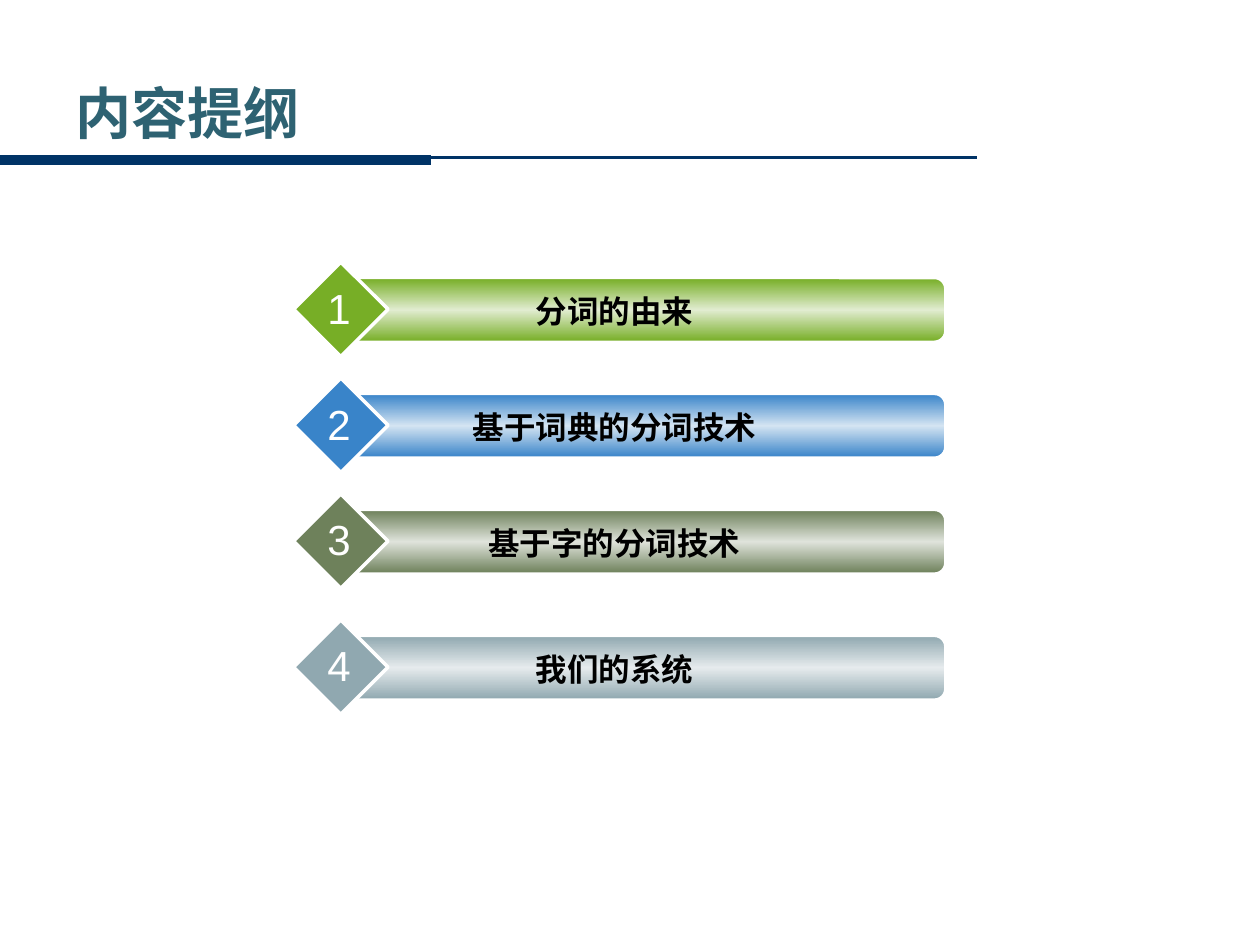
"""Build the outline slide: a ruled title above four numbered gradient bars."""
from copy import deepcopy
from dataclasses import dataclass

from pptx import Presentation
from pptx import util as u
from pptx.dml.color import RGBColor
from pptx.enum import shapes, text
from pptx.oxml import ns, xmlchemy
from pptx.shapes.autoshape import Shape
from pptx.slide import Slide


@dataclass(frozen=True)
class Theme:
    title_font: str = "DejaVu Sans"
    body_font: str = "Arial"
    title_color: str = "2E6272"
    rule_color: str = "003366"
    label_color: str = "000000"
    white: str = "FFFFFF"
    title_size: float = 32
    number_size: float = 24
    label_size: float = 18


@dataclass(frozen=True)
class Box:
    left: float
    top: float
    width: float
    height: float

    def lengths(self) -> list[u.Length]:
        return [u.Inches(value) for value in (self.left, self.top, self.width, self.height)]


@dataclass(frozen=True)
class Rule:
    end: float
    top: float
    weight: float


@dataclass(frozen=True)
class Topic:
    label: str
    top: float
    color: str
    highlight: str


THEME = Theme()
RULES = [Rule(7.75, 1.25, 1.5), Rule(3.42, 1.27, 6)]
TOPICS = [
    Topic("分词的由来", 2.08, "77AE26", "E1ECD0"),
    Topic("基于词典的分词技术", 3.0, "3984C9", "D4E4F2"),
    Topic("基于字的分词技术", 3.92, "6E815B", "DFE3DB"),
    Topic("我们的系统", 4.92, "90A8B0", "E6EBED"),
]


def rgb(value: str) -> RGBColor:
    return RGBColor.from_string(value)


def add_rule(slide: Slide, rule: Rule) -> None:
    top = u.Inches(rule.top)
    connector = slide.shapes.add_connector(
        shapes.MSO_CONNECTOR.STRAIGHT, u.Inches(0), top, u.Inches(rule.end), top)
    connector.line.color.rgb = rgb(THEME.rule_color)
    connector.line.width = u.Pt(rule.weight)
    connector._element.spPr.append(xmlchemy.OxmlElement("a:effectLst"))


def add_text(slide: Slide, box: Box, content: str, size: float, color: str,
             font: str = THEME.body_font, bold: bool = False, wrap: bool = True,
             align: text.PP_ALIGN = text.PP_ALIGN.CENTER,
             anchor: text.MSO_ANCHOR = text.MSO_ANCHOR.TOP) -> None:
    frame = slide.shapes.add_textbox(*box.lengths()).text_frame
    frame.text = content
    frame.word_wrap = wrap
    frame.vertical_anchor = anchor
    paragraph = frame.paragraphs[0]
    paragraph.alignment = align
    run_font = paragraph.runs[0].font
    run_font.name = font
    run_font.size = u.Pt(size)
    run_font.bold = bold
    run_font.color.rgb = rgb(color)


def add_outlined(slide: Slide, kind: shapes.MSO_SHAPE, box: Box, weight: float) -> Shape:
    shape = slide.shapes.add_shape(kind, *box.lengths())
    shape.shadow.inherit = False
    shape.line.color.rgb = rgb(THEME.white)
    shape.line.width = u.Pt(weight)
    return shape


def fill_gradient(shape: Shape, edge: str, middle: str) -> None:
    shape.fill.gradient()
    shape.fill.gradient_angle = 90
    stop_list = shape._element.spPr.find(f".//{ns.qn('a:gsLst')}")
    stop_list.insert(1, deepcopy(stop_list[0]))
    for stop, position, color in zip(shape.fill.gradient_stops, (0, 0.5, 1), (edge, middle, edge)):
        stop.position = position
        stop.color.rgb = rgb(color)


def add_topic(slide: Slide, number: int, topic: Topic) -> None:
    bar = add_outlined(slide, shapes.MSO_SHAPE.ROUNDED_RECTANGLE,
                       Box(2.75, topic.top + 0.13, 4.75, 0.5), 1)
    fill_gradient(bar, topic.color, topic.highlight)
    diamond = add_outlined(slide, shapes.MSO_SHAPE.DIAMOND, Box(2.33, topic.top, 0.75, 0.75), 2)
    diamond.fill.solid()
    diamond.fill.fore_color.rgb = rgb(topic.color)
    add_text(slide, Box(3, topic.top + 0.19, 3.75, 0.4), topic.label,
             THEME.label_size, THEME.label_color, bold=True)
    add_text(slide, Box(2.5, topic.top + 0.11, 0.38, 0.5), str(number),
             THEME.number_size, THEME.white, wrap=False)


def main() -> None:
    presentation = Presentation()
    presentation.slide_width = u.Inches(10)
    presentation.slide_height = u.Inches(7.5)
    slide = presentation.slides.add_slide(presentation.slide_layouts[6])
    for rule in RULES:
        add_rule(slide, rule)
    add_text(slide, Box(0.5, 0.58, 8.42, 0.62), "内容提纲", THEME.title_size, THEME.title_color,
             font=THEME.title_font, bold=True, align=text.PP_ALIGN.LEFT,
             anchor=text.MSO_ANCHOR.MIDDLE)
    for number, topic in enumerate(TOPICS, start=1):
        add_topic(slide, number, topic)
    presentation.save("out.pptx")


if __name__ == "__main__":
    main()
